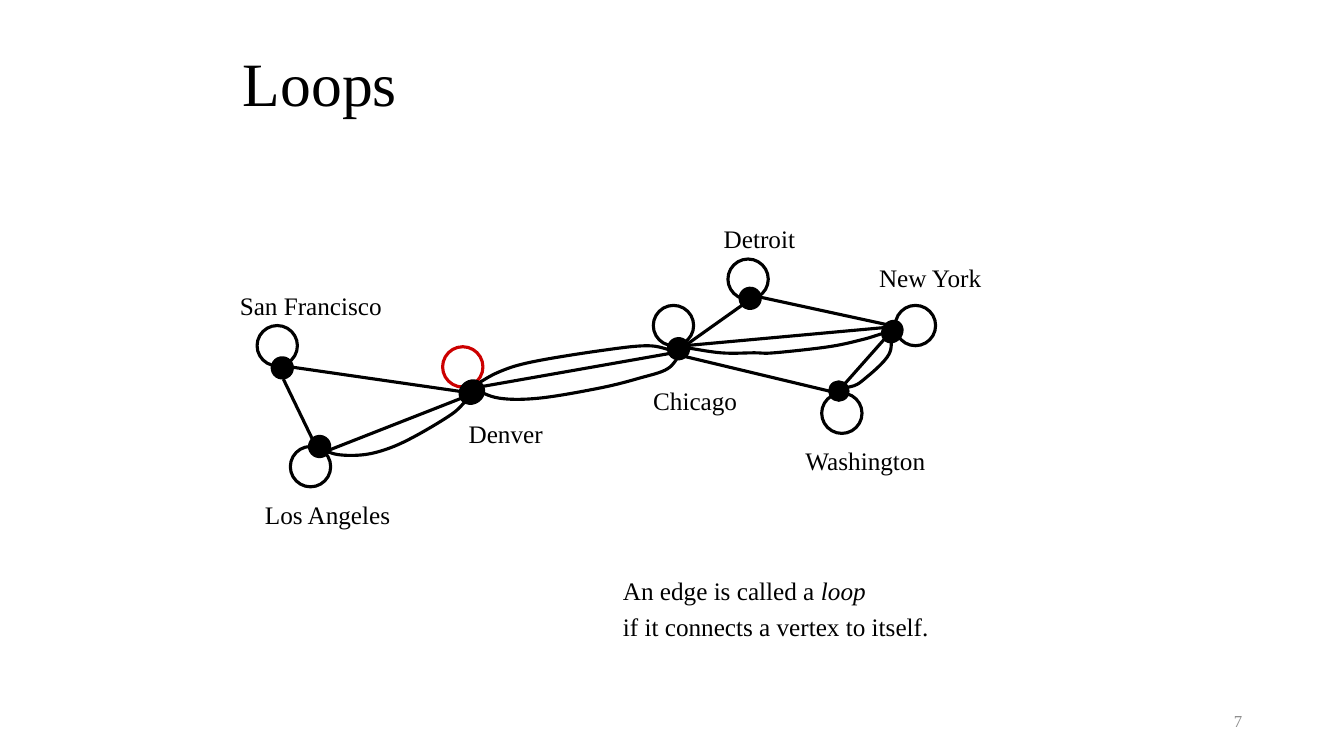
from pptx import Presentation
from pptx.dml.color import RGBColor
from pptx.enum.shapes import MSO_CONNECTOR, MSO_SHAPE
from pptx.enum.text import MSO_ANCHOR, PP_ALIGN
from pptx.oxml.ns import qn
from pptx.util import Inches, Pt

OVAL = MSO_SHAPE.OVAL
STRAIGHT = MSO_CONNECTOR.STRAIGHT
TOP, MIDDLE = MSO_ANCHOR.TOP, MSO_ANCHOR.MIDDLE
LEFT, RIGHT = PP_ALIGN.LEFT, PP_ALIGN.RIGHT

FONT = "Times New Roman"
COLORS = {"ink": "000000", "highlight": "CC0000", "number": "8C8C8C"}
EDGE_WIDTH = 2.25
LOOP_SIZE = 0.4
LABEL_HEIGHT = 0.4

# Content (inches)
# name, label (left, top, width), dot centre, dot size, rotation, dot outline, loop centre, loop colour
CITIES = [
    ("San Francisco", (2.28, 2.83, 1.63), (2.8, 3.65), (0.2, 0.2), 334.2, 2.25, (2.75, 3.43), "ink"),
    ("Los Angeles", (2.53, 4.9, 1.46), (3.17, 4.43), (0.2, 0.2), 334.2, 2.25, (3.08, 4.63), "ink"),
    ("Denver", (4.55, 4.1, 0.94), (4.68, 3.89), (0.26, 0.23), 324.8, 1, (4.59, 3.64), "highlight"),
    ("Chicago", (6.38, 3.77, 1.04), (6.73, 3.46), (0.2, 0.2), 55.3, 2.25, (6.68, 3.23), "ink"),
    ("Detroit", (7.08, 2.17, 0.93), (7.44, 2.96), (0.2, 0.2), 55.3, 2.25, (7.42, 2.77), "ink"),
    ("New York", (8.62, 2.55, 1.23), (8.85, 3.29), (0.2, 0.23), 35.2, 1, (9.08, 3.23), "ink"),
    ("Washington", (7.89, 4.37, 1.42), (8.32, 3.88), (0.2, 0.2), 0, 1, (8.35, 4.1), "ink"),
]
STRAIGHT_EDGES = [
    ((2.81, 3.76), (3.1, 4.36)),    # San Francisco - Los Angeles
    ((2.88, 3.64), (4.75, 3.91)),   # San Francisco - Denver
    ((4.68, 3.91), (3.15, 4.51)),   # Denver - Los Angeles
    ((6.68, 3.5), (4.75, 3.84)),    # Chicago - Denver
    ((7.47, 2.95), (6.78, 3.44)),   # Detroit - Chicago
    ((7.41, 2.92), (8.84, 3.23)),   # Detroit - New York
    ((6.68, 3.44), (8.88, 3.24)),   # Chicago - New York
    ((6.68, 3.51), (8.35, 3.91)),   # Chicago - Washington
    ((8.35, 3.84), (8.82, 3.31)),   # Washington - New York
]
# Points that each curved edge passes through
CURVED_EDGES = [
    [(3.15, 4.44), (3.35, 4.51), (3.62, 4.51), (3.88, 4.44), (4.15, 4.31), (4.48, 4.11), (4.62, 3.98)],
    [(4.68, 3.85), (4.95, 3.95), (5.35, 3.95), (5.95, 3.85), (6.35, 3.75), (6.62, 3.66), (6.75, 3.51)],
    [(4.68, 3.84), (4.95, 3.69), (5.28, 3.59), (5.95, 3.48), (6.42, 3.43), (6.68, 3.48)],
    [(8.82, 3.24), (8.82, 3.51), (8.55, 3.78), (8.42, 3.84), (8.35, 3.84)],
    [(6.75, 3.44), (7.15, 3.5), (7.48, 3.5), (7.68, 3.5), (8.22, 3.44), (8.55, 3.37), (8.75, 3.31)],
]
DEFINITION = [[("An edge is called a ", False), ("loop", True)],
              [("if it connects a vertex to itself.", False)]]


def rgb(name):
    return RGBColor.from_string(COLORS[name])


def add_text(slide, box, paragraphs, size=18, color="ink", anchor=TOP,
             align=LEFT, spacing=None, wrap=False):
    frame = slide.shapes.add_textbox(*map(Inches, box)).text_frame
    frame.word_wrap = wrap
    frame.vertical_anchor = anchor
    for index, runs in enumerate(paragraphs):
        paragraph = frame.add_paragraph() if index else frame.paragraphs[0]
        paragraph.alignment = align
        paragraph.line_spacing = spacing
        paragraph.font.name = FONT
        paragraph.font.size = Pt(size)
        paragraph.font.color.rgb = rgb(color)
        for text, italic in runs:
            run = paragraph.add_run()
            run.text = text
            if italic:
                run.font.italic = True


def style_line(shape, color="ink", width=EDGE_WIDTH):
    shape.line.color.rgb = rgb(color)
    shape.line.width = Pt(width)


def add_oval(slide, center, size, color, width=EDGE_WIDTH, filled=False):
    corner = [middle - length / 2 for middle, length in zip(center, size)]
    oval = slide.shapes.add_shape(OVAL, *map(Inches, (*corner, *size)))
    oval.shadow.inherit = False
    if filled:
        oval.fill.solid()
        oval.fill.fore_color.rgb = rgb(color)
    else:
        oval.fill.background()
    style_line(oval, color, width)
    return oval


def bend_segments(curve):
    """Turn the straight segments of a freeform into one smooth spline."""
    outline = next(curve._element.iter(qn("a:path")))
    knots = [(int(point.get("x")), int(point.get("y"))) for point in outline.iter(qn("a:pt"))]

    def mirror(end, inner):
        return tuple(2 * a - b for a, b in zip(end, inner))

    padded = [mirror(knots[0], knots[1]), *knots, mirror(knots[-1], knots[-2])]
    windows = zip(padded, padded[1:], padded[2:], padded[3:])
    for segment, (before, start, end, after) in zip(outline.findall(qn("a:lnTo")), windows):
        leaving = [b + (c - a) / 6 for a, b, c in zip(before, start, end)]
        arriving = [c - (d - b) / 6 for b, c, d in zip(start, end, after)]
        bezier = outline.makeelement(qn("a:cubicBezTo"), {})
        for x, y in (leaving, arriving, end):
            position = {"x": str(round(x)), "y": str(round(y))}
            bezier.append(outline.makeelement(qn("a:pt"), position))
        outline.replace(segment, bezier)


def add_curve(slide, knots):
    points = [tuple(map(Inches, point)) for point in knots]
    builder = slide.shapes.build_freeform(*points[0])
    builder.add_line_segments(points[1:], close=False)
    curve = builder.convert_to_shape()
    bend_segments(curve)
    curve.shadow.inherit = False
    curve.fill.background()
    style_line(curve)


def main():
    presentation = Presentation()
    presentation.slide_width = Inches(13.33)
    presentation.slide_height = Inches(7.5)
    slide = presentation.slides.add_slide(presentation.slide_layouts[6])

    # Slide number and title
    add_text(slide, (9.42, 6.95, 3, 0.4), [[("7", False)]], size=12,
             color="number", anchor=MIDDLE, align=RIGHT, wrap=True)
    add_text(slide, (2.31, 0.23, 8.58, 1.25), [[("Loops", False)]], size=44,
             anchor=MIDDLE, spacing=0.9, wrap=True)

    # Edges between cities
    for start, end in STRAIGHT_EDGES:
        edge = slide.shapes.add_connector(STRAIGHT, *map(Inches, (*start, *end)))
        properties = edge._element.spPr
        style_line(edge)
        properties.append(properties.makeelement(qn("a:effectLst"), {}))
    for knots in CURVED_EDGES:
        add_curve(slide, knots)

    # Cities, each with a loop, a dot and a label
    for name, label, dot, dot_size, rotation, outline, loop, loop_color in CITIES:
        add_oval(slide, loop, (LOOP_SIZE, LOOP_SIZE), loop_color)
        add_oval(slide, dot, dot_size, "ink", outline, filled=True).rotation = rotation
        add_text(slide, (*label, LABEL_HEIGHT), [[(name, False)]])

    # Definition
    add_text(slide, (6.08, 5.6, 3.27, 0.8), DEFINITION, spacing=1.2)

    presentation.save("out.pptx")


if __name__ == "__main__":
    main()
